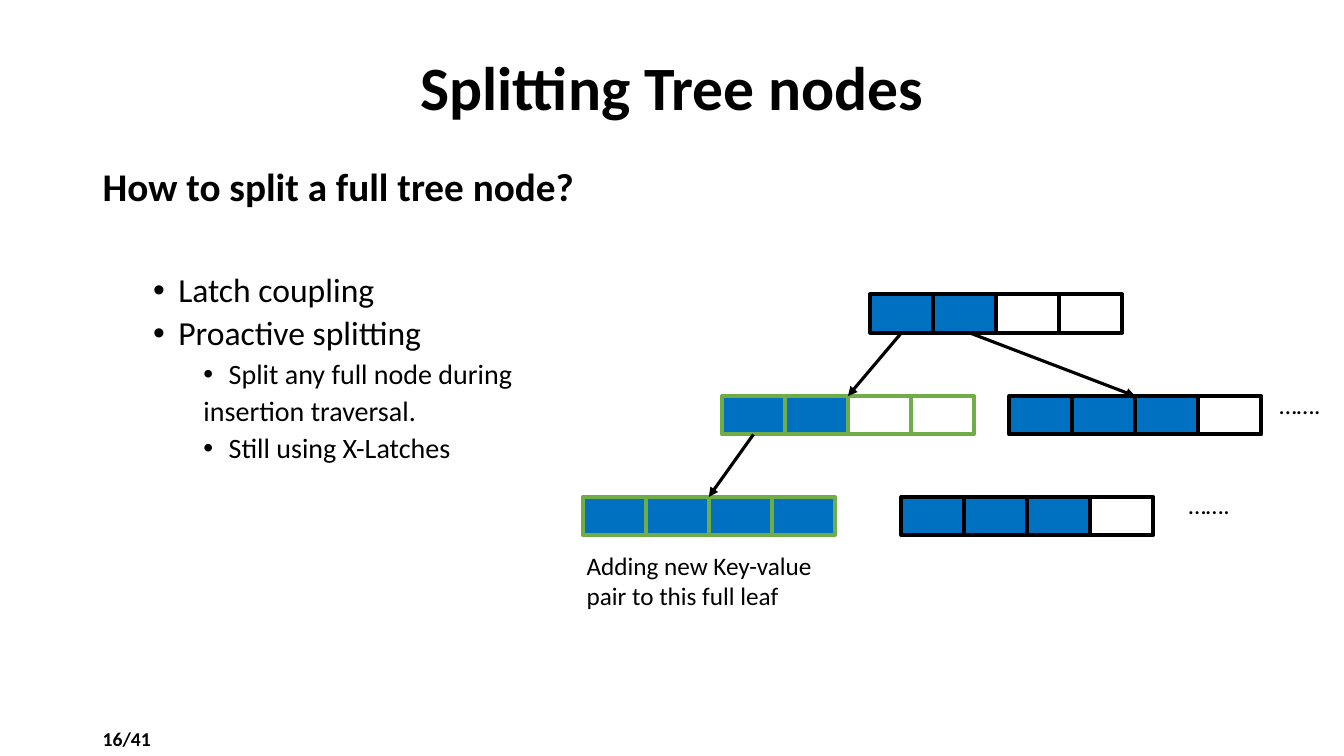
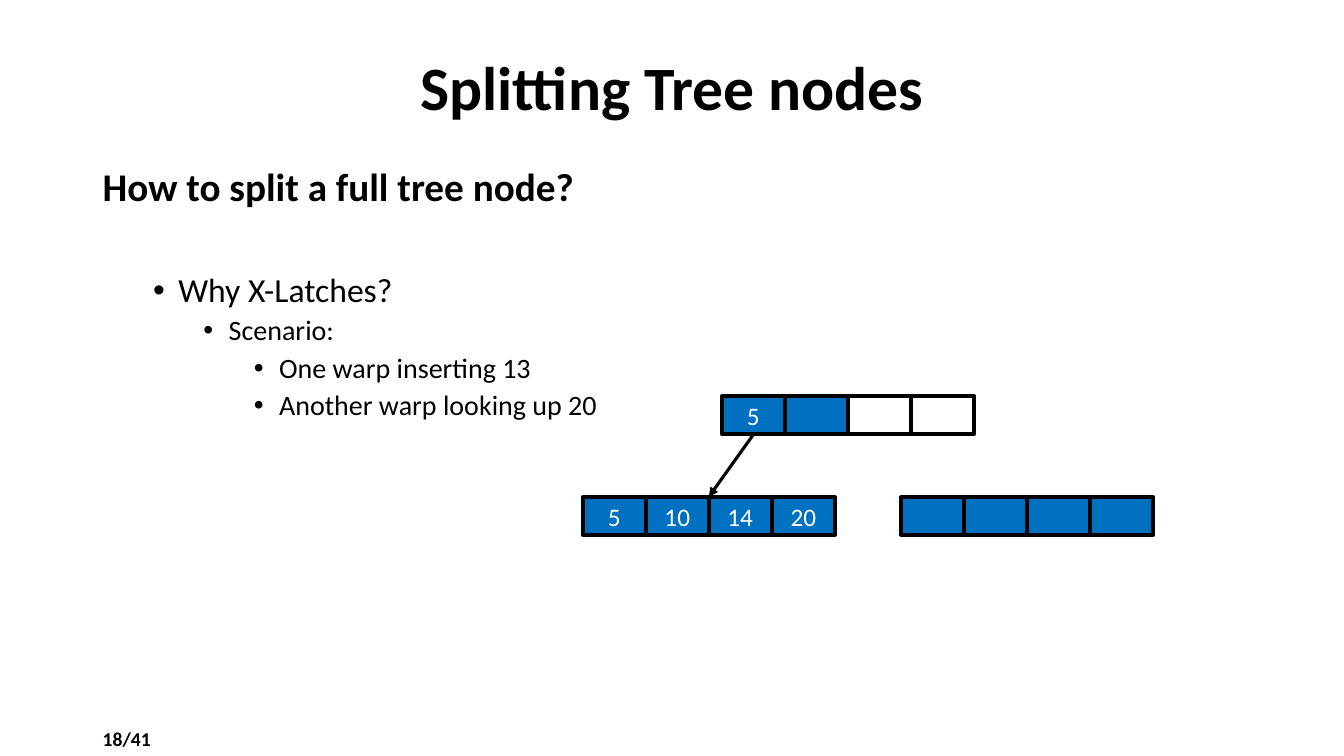
from lxml import etree
from pptx import Presentation
from pptx.dml.color import RGBColor
from pptx.enum.shapes import MSO_CONNECTOR, MSO_SHAPE
from pptx.enum.text import MSO_ANCHOR, PP_ALIGN
from pptx.oxml.ns import qn
from pptx.util import Inches, Pt

RECTANGLE = MSO_SHAPE.RECTANGLE
STRAIGHT = MSO_CONNECTOR.STRAIGHT
TOP, MIDDLE = MSO_ANCHOR.TOP, MSO_ANCHOR.MIDDLE
LEFT, CENTER = PP_ALIGN.LEFT, PP_ALIGN.CENTER

COLORS = {
    "ink": "000000",
    "used": "0070C0",
    "free": "FFFFFF",
    "key": "FFFFFF",
    "latched": "70AD47",
}
FONT = "Calibri"

# Tree geometry, in inches
SLOTS = 4
NODE_W, NODE_H = 2.5, 0.38
SLOT_W = NODE_W / SLOTS
ROOT = (8.63, 2.92)
INNER_LEFT, INNER_RIGHT = (7.16, 3.93), (10.01, 3.93)
LEAF_LEFT, LEAF_RIGHT = (5.78, 4.93), (8.94, 4.93)

# Outline: text size by level, and the gap under the heading
LEVEL_SIZES = {1: 24, 2: 20, 3: 20}
HEADING_GAP = 45.7


def color(name):
    return RGBColor.from_string(COLORS[name])


def write(paragraph, text, size=18, bold=False, ink="ink", align=LEFT,
          spacing=None, before=None):
    """Write one formatted run into a paragraph."""
    paragraph.alignment = align
    if spacing is not None:
        paragraph.line_spacing = spacing
    if before is not None:
        paragraph.space_before = Pt(before)
    run = paragraph.add_run()
    run.text = text
    run.font.name = FONT
    run.font.size = Pt(size)
    run.font.bold = bold
    run.font.color.rgb = color(ink)


def add_frame(slide, left, top, width, height, anchor=TOP):
    box = slide.shapes.add_textbox(Inches(left), Inches(top),
                                   Inches(width), Inches(height))
    frame = box.text_frame
    frame.word_wrap = True
    frame.vertical_anchor = anchor
    return frame


def add_label(slide, text, left, top, width, height, anchor=TOP, **style):
    frame = add_frame(slide, left, top, width, height, anchor)
    write(frame.paragraphs[0], text, **style)


def set_indent(paragraph, level, bulleted):
    """Indent by level, with a hanging bullet when wanted."""
    paragraph.level = level
    hang = 0.25 if bulleted else 0
    props = paragraph._p.get_or_add_pPr()
    props.set("marL", str(Inches(level * 0.5 + hang)))
    props.set("indent", str(Inches(-hang)))
    if bulleted:
        etree.SubElement(props, qn("a:buFont")).set("typeface", "Arial")
        etree.SubElement(props, qn("a:buChar")).set("char", "•")


def add_outline(slide, heading, items):
    """Heading, then (level, text, bulleted) items."""
    frame = add_frame(slide, 0.92, 1.61, 11.5, 5.14)
    write(frame.paragraphs[0], heading, size=28, bold=True, spacing=0.9)
    for index, (level, text, bulleted) in enumerate(items):
        paragraph = frame.add_paragraph()
        write(paragraph, text, size=LEVEL_SIZES[level], spacing=0.9,
              before=5 if index else HEADING_GAP)
        set_indent(paragraph, level, bulleted)


def add_node(slide, position, used, border="ink", keys=()):
    """A row of slots, the first `used` of them filled."""
    left, top = position
    for index in range(SLOTS):
        slot = slide.shapes.add_shape(
            RECTANGLE, Inches(left + index * SLOT_W), Inches(top),
            Inches(SLOT_W), Inches(NODE_H))
        slot.shadow.inherit = False
        slot.fill.solid()
        slot.fill.fore_color.rgb = color("used" if index < used else "free")
        slot.line.color.rgb = color(border)
        slot.line.width = Pt(2.75)
        if index < len(keys):
            slot.text_frame.vertical_anchor = MIDDLE
            write(slot.text_frame.paragraphs[0], keys[index],
                  ink="key", align=CENTER)


def add_pointer(slide, parent, child, slot=0.5):
    """Arrow from a parent's lower edge to the top centre of a child."""
    arrow = slide.shapes.add_connector(
        STRAIGHT,
        Inches(parent[0] + slot * SLOT_W), Inches(parent[1] + NODE_H),
        Inches(child[0] + NODE_W / 2), Inches(child[1]))
    arrow.line.color.rgb = color("ink")
    arrow.line.width = Pt(2.25)
    line = arrow.line._get_or_add_ln()
    etree.SubElement(line, qn("a:tailEnd")).set("type", "triangle")
    etree.SubElement(arrow._element.spPr, qn("a:effectLst"))


def add_slide(deck, page, items):
    """Slide with the shared title, heading and page number."""
    slide = deck.slides.add_slide(deck.slide_layouts[6])
    add_outline(slide, "How to split a full tree node?", items)
    add_label(slide, "Splitting Tree nodes", 0.92, 0.4, 11.5, 1, MIDDLE,
              size=44, bold=True, align=CENTER, spacing=0.9)
    add_label(slide, f"{page}/41", 0.92, 7.13, 3, 0.4, MIDDLE,
              size=14, bold=True)
    return slide


def build_proactive_splitting(deck):
    slide = add_slide(deck, 16, [
        (1, "Latch coupling", True),
        (1, "Proactive splitting", True),
        (2, "Split any full node during", True),
        (2, "insertion traversal.", False),
        (2, "Still using X-Latches", True),
    ])
    # Tree with the latched path
    add_node(slide, INNER_LEFT, 2, border="latched")
    add_node(slide, ROOT, 2)
    add_node(slide, LEAF_LEFT, 4, border="latched")
    add_node(slide, INNER_RIGHT, 3)
    add_node(slide, LEAF_RIGHT, 3)
    add_pointer(slide, ROOT, INNER_LEFT)
    add_pointer(slide, ROOT, INNER_RIGHT, slot=1.57)
    add_pointer(slide, INNER_LEFT, LEAF_LEFT)
    # Annotations
    add_label(slide, "Adding new Key-value pair to this full leaf",
              5.72, 5.41, 2.56, 0.71)
    for left, top in ((11.69, 4.81), (12.59, 3.81)):
        add_label(slide, "…….", left, top, 0.74, 0.4)


def build_latch_scenario(deck):
    slide = add_slide(deck, 18, [
        (1, "Why X-Latches?", True),
        (2, "Scenario:", True),
        (3, "One warp inserting 13", True),
        (3, "Another warp looking up 20", True),
    ])
    # Subtree with its keys
    add_node(slide, INNER_LEFT, 2, keys=["5"])
    add_node(slide, LEAF_LEFT, 4, keys=["5", "10", "14", "20"])
    add_node(slide, LEAF_RIGHT, 4)
    add_pointer(slide, INNER_LEFT, LEAF_LEFT)


def main():
    deck = Presentation()
    deck.slide_width = Inches(13.33)
    deck.slide_height = Inches(7.5)
    build_proactive_splitting(deck)
    build_latch_scenario(deck)
    deck.save("out.pptx")


if __name__ == "__main__":
    main()
